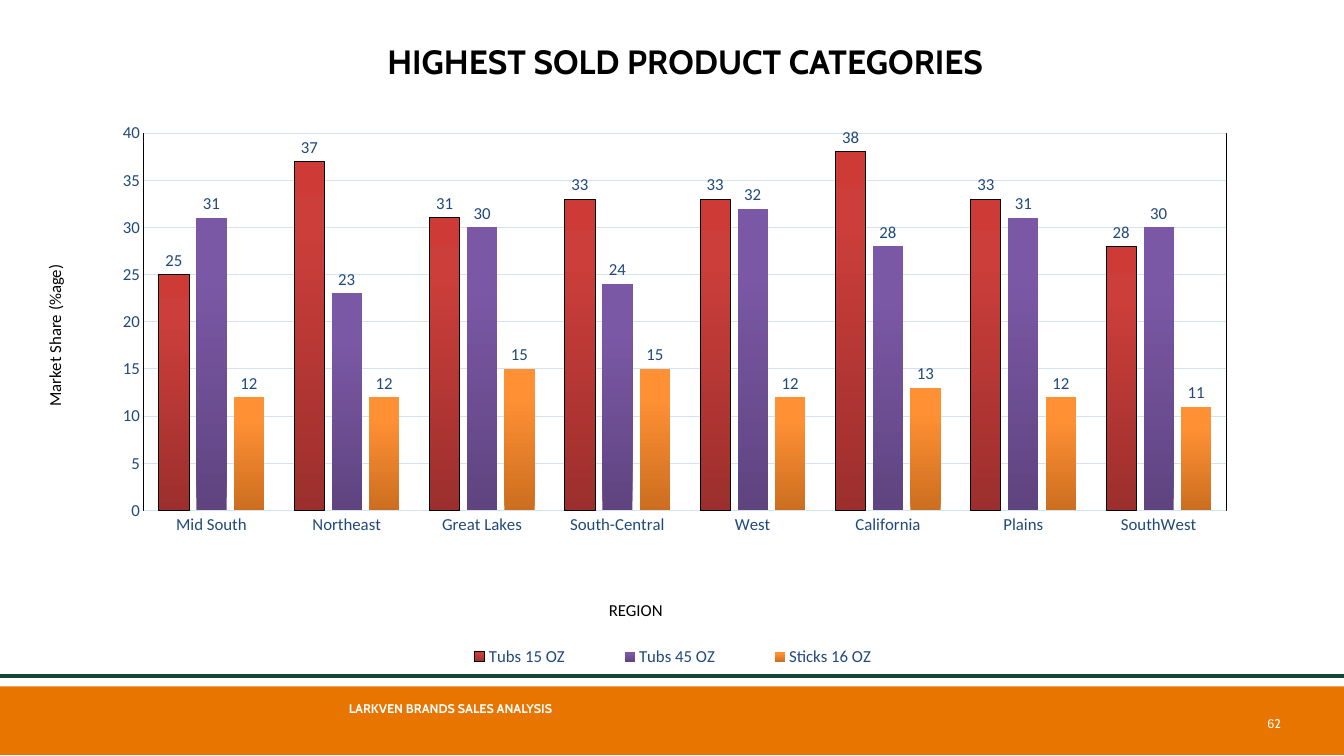
from copy import deepcopy
from dataclasses import dataclass

from pptx import Presentation
from pptx import util as u
from pptx.chart import data as chart_data
from pptx.dml.color import RGBColor
from pptx.enum import chart as charts, shapes, text
from pptx.oxml import parse_xml
from pptx.oxml.ns import nsdecls, qn

BLACK = RGBColor(0x00, 0x00, 0x00)
WHITE = RGBColor(0xFF, 0xFF, 0xFF)
ORANGE = RGBColor(0xE8, 0x75, 0x00)
GREEN = RGBColor(0x15, 0x46, 0x34)
NAVY = RGBColor(0x1F, 0x49, 0x7D)
PALE_BLUE = RGBColor(0xD4, 0xE3, 0xF4)
REDS = (RGBColor(0x9C, 0x2F, 0x2D), RGBColor(0xCB, 0x3E, 0x3A), RGBColor(0xCE, 0x3B, 0x37))
PURPLES = (RGBColor(0x5F, 0x44, 0x80), RGBColor(0x7B, 0x58, 0xA6), RGBColor(0x7C, 0x57, 0xA8))
AMBERS = (RGBColor(0xCC, 0x6E, 0x20), RGBColor(0xFF, 0x90, 0x34), RGBColor(0xFF, 0x91, 0x36))
STOPS = (0, 0.8, 1)
SLIDE_WIDTH, SLIDE_HEIGHT = u.Inches(13.33), u.Inches(7.5)


@dataclass
class Label:
    words: str
    left: float
    top: float
    width: float
    height: float
    size: float
    font: str
    color: RGBColor
    bold: bool = False
    centered: bool = False
    rotation: float = 0
    inset_x: float = 0
    inset_y: float = 0
    indent: float = 0
    space_before: float = 0


@dataclass
class Product:
    name: str
    shares: tuple[int, ...]
    gradient: tuple[RGBColor, ...]
    outlined: bool = False


REGIONS = ("Mid South", "Northeast", "Great Lakes", "South-Central",
           "West", "California", "Plains", "SouthWest")
PRODUCTS = (
    Product("Tubs 15 OZ", (25, 37, 31, 33, 33, 38, 33, 28), REDS, outlined=True),
    Product("Tubs 45 OZ", (31, 23, 30, 24, 32, 28, 31, 30), PURPLES),
    Product("Sticks 16 OZ", (12, 12, 15, 15, 12, 13, 12, 11), AMBERS),
)
LABELS = (
    Label("HIGHEST SOLD PRODUCT CATEGORIES", 2.78, 0.4, 8.02, 0.42, 24, "Cabin", BLACK,
          bold=True, centered=True, inset_y=0.01, indent=0.01, space_before=1),
    Label("2", 12.63, 7.09, 0.1, 0.18, 9, "Cabin", WHITE,
          inset_y=0.01, indent=0.01, space_before=1),
    Label("LARKVEN BRANDS SALES ANALYSIS", 3.45, 6.95, 5.79, 0.19, 9, "Cabin", WHITE,
          bold=True, indent=0.01, space_before=1.2),
    Label("6", 12.53, 7.1, 0.23, 0.17, 9, "Arial", WHITE, indent=0.04, space_before=0.1),
    Label("REGION", 5.94, 5.9, 4.04, 0.3, 12, "Calibri", BLACK, inset_x=0.1, inset_y=0.05),
    Label("Market Share (%age)", -0.92, 2.38, 3.06, 0.44, 12, "Calibri", BLACK,
          rotation=270, inset_x=0.1, inset_y=0.05),
)


def style_font(font, size: float, name: str, color: RGBColor, bold: bool = False) -> None:
    font.size, font.name, font.bold = u.Pt(size), name, bold
    font.color.rgb = color


def add_label(slide, label: Label) -> None:
    box = slide.shapes.add_textbox(u.Inches(label.left), u.Inches(label.top),
                                   u.Inches(label.width), u.Inches(label.height))
    box.rotation = label.rotation
    frame = box.text_frame
    frame.word_wrap = True
    frame.margin_left = frame.margin_right = u.Inches(label.inset_x)
    frame.margin_top = u.Inches(label.inset_y)
    frame.margin_bottom = u.Inches(label.inset_y if label.inset_x else 0)
    frame.text = label.words
    paragraph = frame.paragraphs[0]
    paragraph.space_before = u.Pt(label.space_before)
    paragraph.alignment = text.PP_ALIGN.CENTER if label.centered else text.PP_ALIGN.LEFT
    properties = paragraph._p.get_or_add_pPr()
    properties.set("marL", str(u.Inches(label.indent)))
    style_font(paragraph.runs[0].font, label.size, label.font, label.color, label.bold)


def add_footer(slide) -> None:
    band = slide.shapes.add_shape(shapes.MSO_SHAPE.RECTANGLE, 0, u.Inches(6.81),
                                  SLIDE_WIDTH, u.Inches(0.68))
    band.shadow.inherit = False
    band.fill.solid()
    band.fill.fore_color.rgb = ORANGE
    band.line.fill.background()
    rule = slide.shapes.add_connector(shapes.MSO_CONNECTOR.STRAIGHT, 0, u.Inches(6.71),
                                      SLIDE_WIDTH, u.Inches(6.71))
    rule.line.color.rgb = GREEN
    rule.line.width = u.Pt(3)
    rule._element.spPr.append(parse_xml(f'<a:effectLst {nsdecls("a")}/>'))


def style_columns(series, product: Product) -> None:
    series.invert_if_negative = False
    fill = series.format.fill
    fill.gradient()
    fill.gradient_angle = 90
    stop_list = series._element.find(".//" + qn("a:gsLst"))
    stop_list.insert(1, deepcopy(stop_list[0]))
    for stop, color, position in zip(fill.gradient_stops, product.gradient, STOPS):
        stop.color.rgb = color
        stop.position = position
    if product.outlined:
        series.format.line.color.rgb = BLACK
        series.format.line.width = u.Pt(0.75)
    else:
        series.format.line.fill.background()
    labels = series.data_labels
    labels.show_value = True
    labels.position = charts.XL_LABEL_POSITION.OUTSIDE_END
    style_font(labels.font, 12, "Calibri", NAVY)


def set_layout(part, index: int, target: str, x: float, y: float, w: float, h: float) -> None:
    """Place a chart part by fractions of the chart's size."""
    for layout in part.findall(qn("c:layout")):
        part.remove(layout)
    sizes = "".join(f'<c:{key} val="{value}"/>'
                    for key, value in zip("xywh", (x, y, w, h)))
    part.insert(index, parse_xml(
        f'<c:layout {nsdecls("c")}><c:manualLayout>{target}<c:xMode val="edge"/>'
        f'<c:yMode val="edge"/>{sizes}</c:manualLayout></c:layout>'))


def add_share_chart(slide) -> None:
    shares = chart_data.CategoryChartData(number_format="0")
    shares.categories = REGIONS
    for product in PRODUCTS:
        shares.add_series(product.name, product.shares)
    chart = slide.shapes.add_chart(
        charts.XL_CHART_TYPE.COLUMN_CLUSTERED, u.Inches(0.83), u.Inches(1.18),
        u.Inches(11.93), u.Inches(6.39), shares).chart
    chart.has_title = False
    style_font(chart.font, 10, "Calibri", BLACK)

    # Columns
    plot = chart.plots[0]
    plot.gap_width, plot.overlap, plot.vary_by_categories = 100, -24, False
    for series, product in zip(plot.series, PRODUCTS):
        style_columns(series, product)

    # Axes
    region_axis, share_axis = chart.category_axis, chart.value_axis
    for axis in (region_axis, share_axis):
        axis.major_tick_mark = axis.minor_tick_mark = charts.XL_TICK_MARK.NONE
        style_font(axis.tick_labels.font, 12, "Calibri", NAVY)
    share_axis.minimum_scale, share_axis.maximum_scale, share_axis.major_unit = 0, 40, 5
    share_axis.has_major_gridlines = True
    share_axis.format.line.fill.background()
    for line in (region_axis.format.line, share_axis.major_gridlines.format.line):
        line.color.rgb = PALE_BLUE
        line.width = u.Pt(0.75)

    # Legend, kept above the footer
    chart.has_legend = True
    legend = chart.legend
    legend.position = charts.XL_LEGEND_POSITION.BOTTOM
    legend.include_in_layout = False
    style_font(legend.font, 12, "Calibri", NAVY)
    set_layout(legend._element, 1, "", 0.28, 0.81, 0.42, 0.05)

    # Plot area with a black frame
    area = chart._chartSpace.chart.plotArea
    set_layout(area, 0, '<c:layoutTarget val="inner"/>', 0.05, 0.022, 0.9, 0.586)
    area.append(parse_xml(
        f'<c:spPr {nsdecls("c", "a")}><a:noFill/><a:ln w="9525"><a:solidFill>'
        f'<a:srgbClr val="{BLACK}"/></a:solidFill></a:ln></c:spPr>'))


def main() -> None:
    deck = Presentation()
    deck.slide_width, deck.slide_height = SLIDE_WIDTH, SLIDE_HEIGHT
    slide = deck.slides.add_slide(deck.slide_layouts[6])
    add_footer(slide)
    add_share_chart(slide)
    for label in LABELS:
        add_label(slide, label)
    deck.save("out.pptx")


if __name__ == "__main__":
    main()
